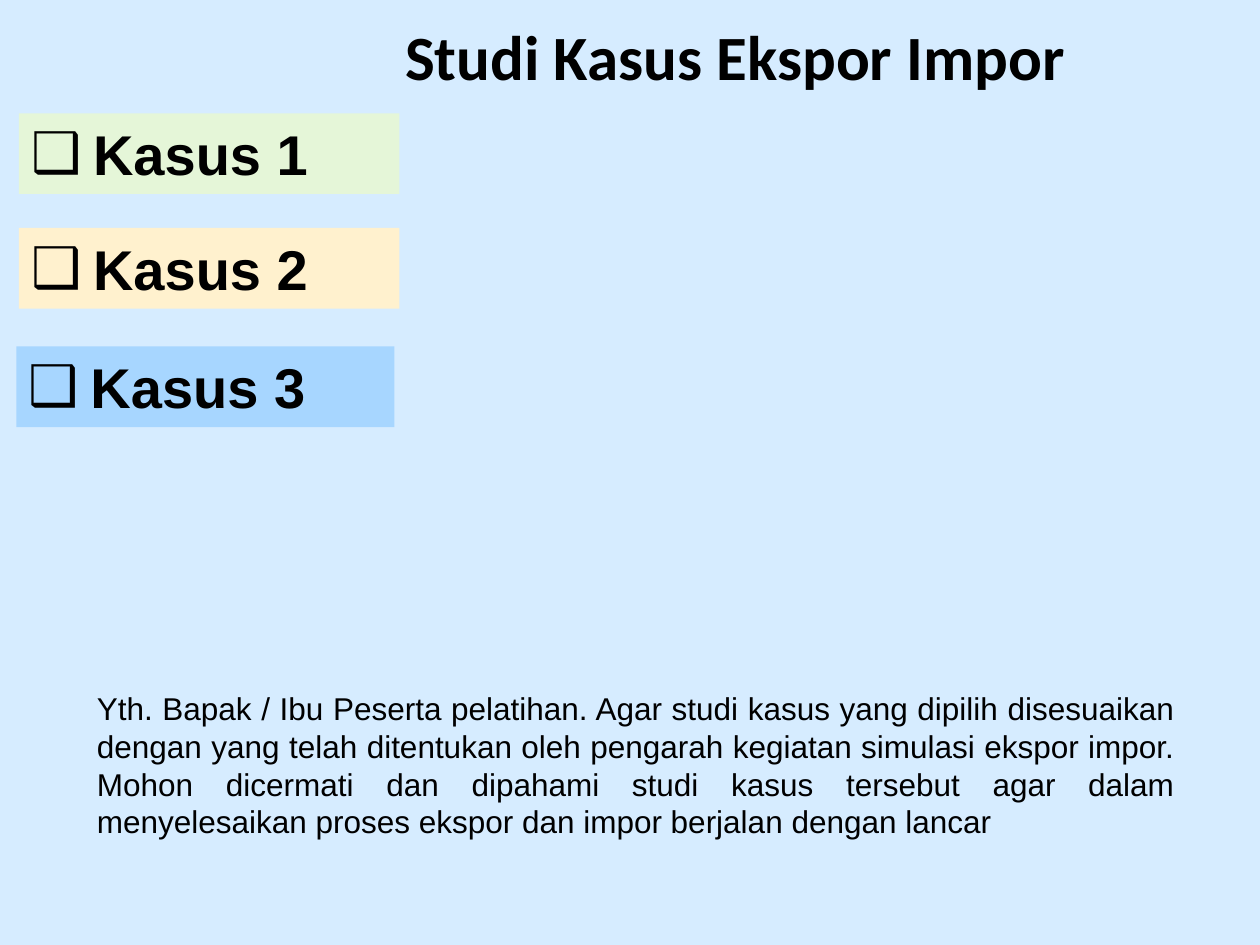
from lxml import etree
from pptx import Presentation
from pptx.dml.color import RGBColor
from pptx.enum.shapes import MSO_SHAPE
from pptx.enum.text import MSO_ANCHOR, PP_ALIGN
from pptx.oxml.ns import qn
from pptx.util import Inches, Pt

RECTANGLE = MSO_SHAPE.RECTANGLE
MIDDLE, TOP = MSO_ANCHOR.MIDDLE, MSO_ANCHOR.TOP
LEFT, CENTER, JUSTIFY = PP_ALIGN.LEFT, PP_ALIGN.CENTER, PP_ALIGN.JUSTIFY

COLORS = {
    "background": "D6ECFF",
    "text": "000000",
    "green": "E5F6D8",
    "cream": "FFF1CE",
    "blue": "A7D6FF",
}
BULLET_INDENT = Inches(0.49)


def add_bullet(paragraph, character):
    """Give the paragraph a bullet with a hanging indent."""
    properties = paragraph._p.get_or_add_pPr()
    properties.set("marL", str(BULLET_INDENT))
    properties.set("indent", str(-BULLET_INDENT))
    color = etree.SubElement(properties, qn("a:buClr"))
    etree.SubElement(color, qn("a:srgbClr"), val=COLORS["text"])
    etree.SubElement(properties, qn("a:buFont"), typeface="Arial")
    etree.SubElement(properties, qn("a:buChar"), char=character)


def write_text(shape, text, size, font="Arial", bold=False, align=LEFT,
               anchor=TOP, bullet=None):
    """Fill a shape with one formatted paragraph."""
    frame = shape.text_frame
    frame.word_wrap = True
    frame.vertical_anchor = anchor
    paragraph = frame.paragraphs[0]
    paragraph.text = text
    paragraph.alignment = align
    if bullet:
        add_bullet(paragraph, bullet)
    paragraph.font.name = font
    paragraph.font.size = Pt(size)
    paragraph.font.bold = bold
    paragraph.font.color.rgb = RGBColor.from_string(COLORS["text"])


class SlideBuilder:
    """Holds the current slide and its style."""

    def __init__(self, slide):
        self.slide = slide
        fill = slide.background.fill
        fill.solid()
        fill.fore_color.rgb = RGBColor.from_string(COLORS["background"])

    def title(self, text, left, top, width, height):
        shape = self.slide.shapes.title
        shape.left, shape.top = Inches(left), Inches(top)
        shape.width, shape.height = Inches(width), Inches(height)
        write_text(shape, text, 36, font="Calibri", bold=True, align=CENTER,
                   anchor=MIDDLE)

    def case_box(self, text, color, left, top, width, height=0.64):
        shape = self.slide.shapes.add_shape(
            RECTANGLE, Inches(left), Inches(top), Inches(width), Inches(height))
        shape.shadow.inherit = False
        shape.fill.solid()
        shape.fill.fore_color.rgb = RGBColor.from_string(COLORS[color])
        shape.line.fill.background()
        write_text(shape, text, 32, bold=True, bullet="❑")

    def note(self, text, left, top, width, height):
        shape = self.slide.shapes.add_textbox(
            Inches(left), Inches(top), Inches(width), Inches(height))
        write_text(shape, text, 18, align=JUSTIFY)


def main():
    presentation = Presentation()
    presentation.slide_width = Inches(10)
    presentation.slide_height = Inches(7.5)
    title_only = presentation.slide_layouts[5]
    builder = SlideBuilder(presentation.slides.add_slide(title_only))

    # Heading
    builder.title("Studi Kasus Ekspor Impor", 2.92, 0, 5.83, 0.87)

    # Case list
    cases = [
        ("green", 0.15, 0.9, 3.02),
        ("cream", 0.15, 1.81, 3.02),
        ("blue", 0.13, 2.75, 3),
    ]
    for number, (color, left, top, width) in enumerate(cases, start=1):
        builder.case_box(f"Kasus {number}", color, left, top, width)

    # Note to the participants
    builder.note(
        "Yth. Bapak / Ibu Peserta pelatihan. Agar studi kasus yang dipilih "
        "disesuaikan dengan yang telah ditentukan oleh pengarah kegiatan "
        "simulasi ekspor impor. Mohon dicermati dan dipahami studi kasus "
        "tersebut agar dalam menyelesaikan proses ekspor dan impor berjalan "
        "dengan lancar",
        0.67, 5.42, 8.75, 1.3)

    presentation.save("out.pptx")


if __name__ == "__main__":
    main()
